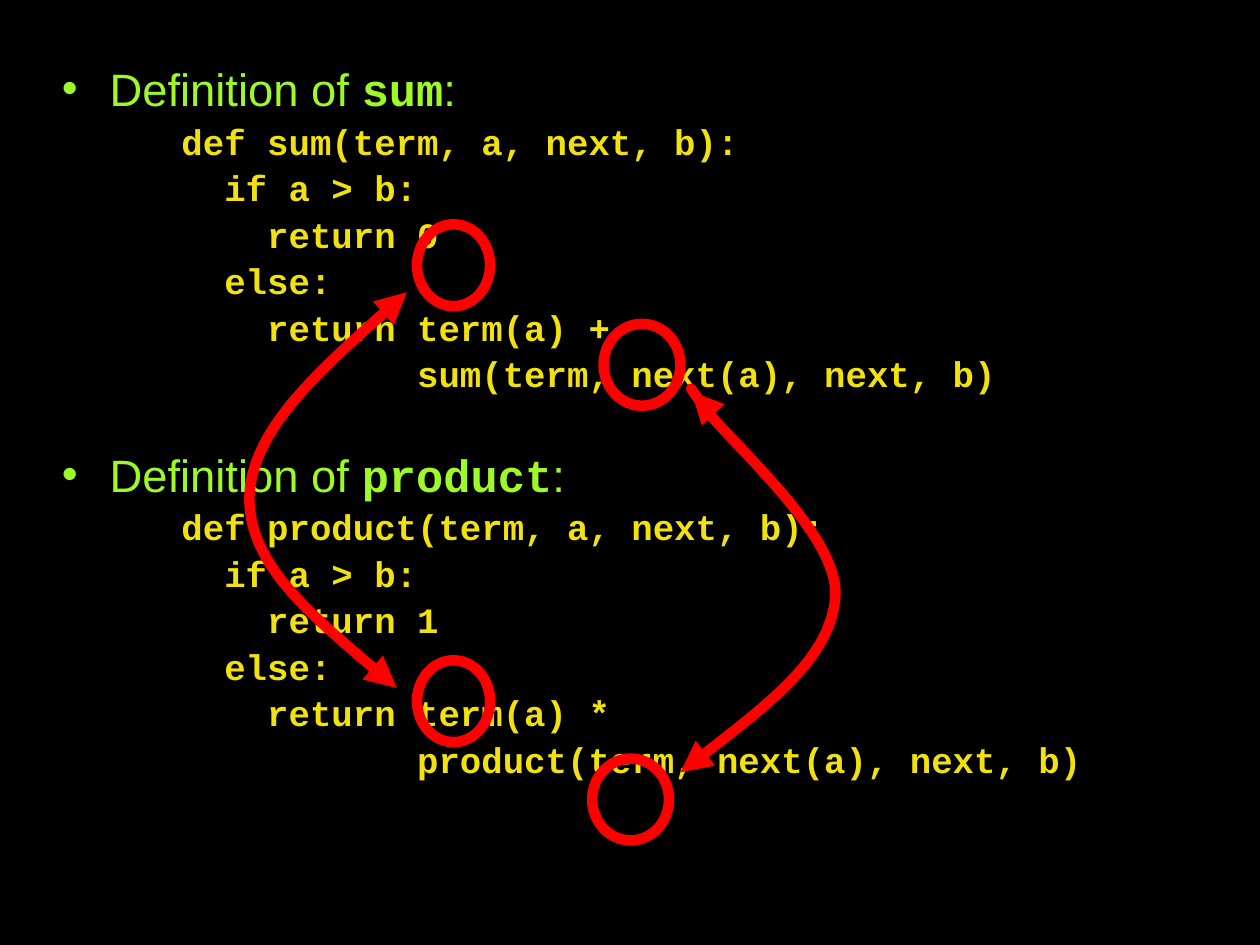
from dataclasses import dataclass

from lxml import etree
from pptx import Presentation
from pptx.dml.color import RGBColor
from pptx.enum.shapes import MSO_SHAPE
from pptx.enum.text import MSO_ANCHOR, MSO_AUTO_SIZE
from pptx.oxml.ns import qn
from pptx.util import Inches, Pt

OVAL = MSO_SHAPE.OVAL
TOP = MSO_ANCHOR.TOP
NO_AUTOFIT = MSO_AUTO_SIZE.NONE


@dataclass(frozen=True)
class Theme:
    background: str = "000000"
    heading: str = "9FF828"
    code: str = "F1E10F"
    mark: str = "FF0000"
    text_font: str = "Arial"
    code_font: str = "Courier New"
    heading_size: float = 25.9
    code_size: float = 20.4
    mark_width: float = 6
    line_spacing: float = 0.8
    code_gap: float = 7
    block_gap: float = 36


THEME = Theme()

DEFINITIONS = [
    ("sum", """\
def sum(term, a, next, b):
  if a > b:
    return 0
  else:
    return term(a) +
           sum(term, next(a), next, b)"""),
    ("product", """\
def product(term, a, next, b):
  if a > b:
    return 1
  else:
    return term(a) *
           product(term, next(a), next, b)"""),
]

# Each pair: ring size, ring corners, and the Bezier points of the joining arrow
DIFFERENCES = [
    ((0.58, 0.65), [(3.31, 1.78), (3.31, 5.24)],
     [(3.23, 2.32), (2.61, 2.87), (2, 3.42), (1.98, 3.94),
      (1.97, 4.47), (2.56, 4.96), (3.15, 5.46)]),
    ((0.61, 0.65), [(4.79, 2.57), (4.7, 6.02)],
     [(5.49, 3.11), (5.44, 3.03), (5.39, 2.95), (5.58, 3.22),
      (5.77, 3.49), (6.66, 4.24), (6.63, 4.73),
      (6.6, 5.21), (6, 5.67), (5.4, 6.13)]),
]


def color(value):
    return RGBColor.from_string(value)


def indent(para, left, hanging):
    properties = para._p.get_or_add_pPr()
    properties.set("marL", str(Inches(left)))
    properties.set("indent", str(-Inches(hanging)))
    return properties


def style(para, size, value):
    para.line_spacing = THEME.line_spacing
    para.font.size = Pt(size)
    para.font.color.rgb = color(value)


def add_heading(para, name):
    properties = indent(para, 0.42, 0.38)
    bullet_color = etree.SubElement(properties, qn("a:buClr"))
    etree.SubElement(bullet_color, qn("a:srgbClr"), val=THEME.heading)
    etree.SubElement(properties, qn("a:buFont"), typeface=THEME.text_font)
    etree.SubElement(properties, qn("a:buChar"), char="•")
    style(para, THEME.heading_size, THEME.heading)
    for text, is_code in [("Definition of ", False), (name, True), (":", False)]:
        span = para.add_run()
        span.text = text
        span.font.name = THEME.code_font if is_code else THEME.text_font
        span.font.bold = is_code


def add_code_line(para, text):
    para.level = 2
    etree.SubElement(indent(para, 1.24, 0.25), qn("a:buNone"))
    para.add_run().text = text
    style(para, THEME.code_size, THEME.code)
    para.space_before = Pt(THEME.code_gap)
    para.font.name = THEME.code_font
    para.font.bold = True


def fill_body(body):
    body.left, body.top = Inches(0.35), Inches(0.52)
    body.width, body.height = Inches(9.83), Inches(5.83)
    frame = body.text_frame
    frame.auto_size = NO_AUTOFIT
    frame.vertical_anchor = TOP
    for number, (name, code) in enumerate(DEFINITIONS):
        para = frame.add_paragraph() if number else frame.paragraphs[0]
        add_heading(para, name)
        para.space_before = Pt(THEME.block_gap if number else 0)
        for text in code.splitlines():
            add_code_line(frame.add_paragraph(), text)


def outline(shape):
    shape.shadow.inherit = False
    shape.fill.background()
    shape.line.color.rgb = color(THEME.mark)
    shape.line.width = Pt(THEME.mark_width)


def add_ring(group, corner, size):
    outline(group.shapes.add_shape(OVAL, *map(Inches, corner + size)))


def bend(shape):
    """Turn every three line segments of a freeform into one Bezier curve."""
    segments = list(shape._element.iter(qn("a:lnTo")))
    path = segments[0].getparent()
    for first in range(0, len(segments), 3):
        curve = etree.SubElement(path, qn("a:cubicBezTo"))
        for segment in segments[first:first + 3]:
            curve.append(segment[0])
            path.remove(segment)


def add_curved_arrow(group, controls):
    start, *rest = [(Inches(x), Inches(y)) for x, y in controls]
    builder = group.shapes.build_freeform(*start)
    builder.add_line_segments(rest, close=False)
    arrow = builder.convert_to_shape()
    bend(arrow)
    outline(arrow)
    line = arrow.line._get_or_add_ln()
    etree.SubElement(line, qn("a:round"))
    for end in ("a:headEnd", "a:tailEnd"):
        etree.SubElement(line, qn(end), type="triangle")


def main():
    deck = Presentation()
    deck.slide_width, deck.slide_height = Inches(10), Inches(7.5)
    page = deck.slides.add_slide(deck.slide_layouts[1])
    page.background.fill.solid()
    page.background.fill.fore_color.rgb = color(THEME.background)

    # Both definitions; the slide has no title
    title = page.shapes.title
    title._element.getparent().remove(title._element)
    fill_body(page.placeholders[1])

    # Rings and arrows over the parts that differ
    for size, corners, controls in DIFFERENCES:
        group = page.shapes.add_group_shape()
        for corner in corners:
            add_ring(group, corner, size)
        add_curved_arrow(group, controls)

    deck.save("out.pptx")


if __name__ == "__main__":
    main()
